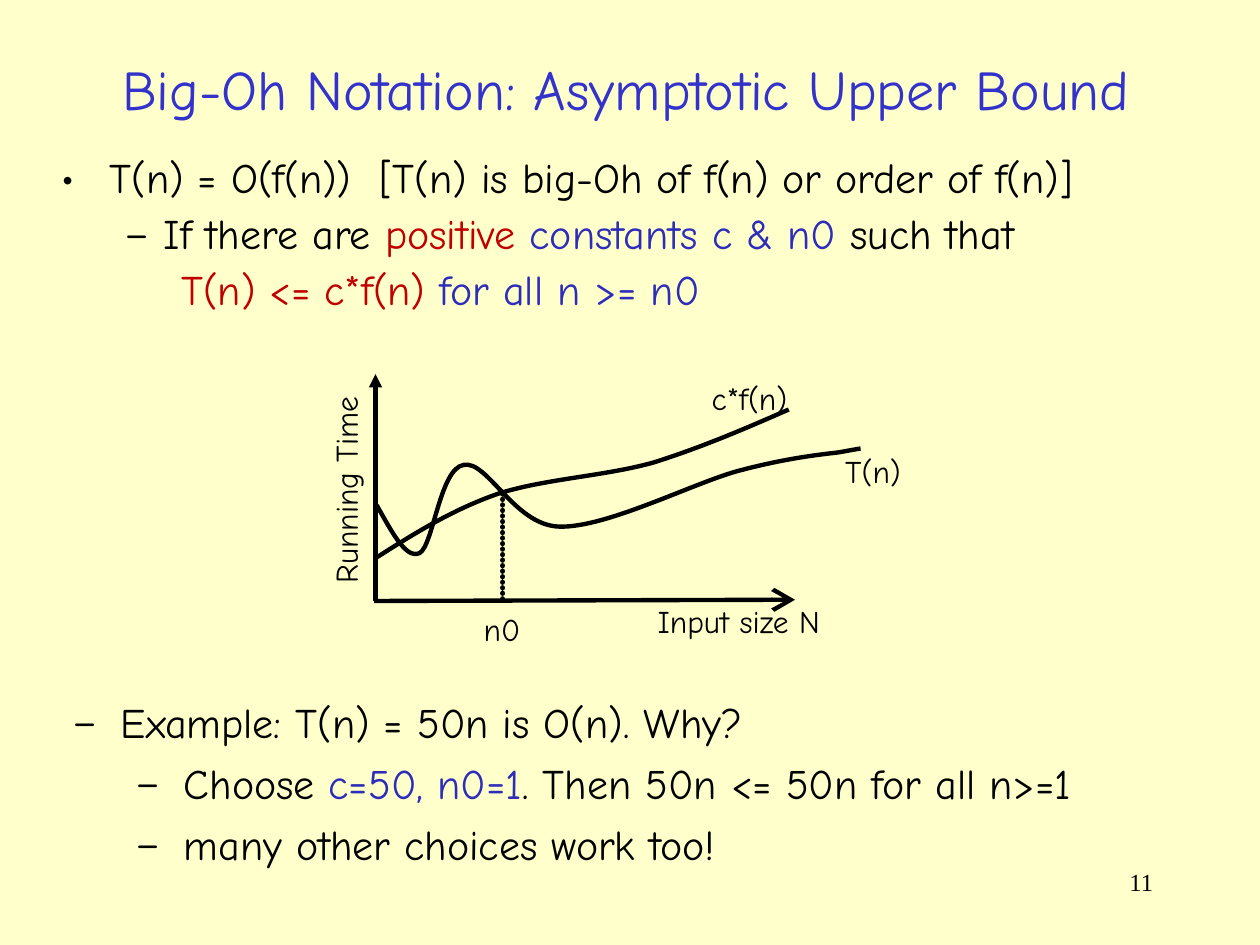
from typing import NamedTuple

from lxml import etree
from pptx import Presentation
from pptx.dml.color import RGBColor
from pptx.enum.shapes import MSO_CONNECTOR
from pptx.enum.text import MSO_ANCHOR, MSO_AUTO_SIZE, PP_ALIGN
from pptx.oxml.ns import qn
from pptx.util import Pt

PX = 9144  # EMU per px, 100 px to the inch
FONT, NUMBER_FONT = "Comic Neue", "Times New Roman"
BLACK, RED, BLUE, TITLE_BLUE = "000000", "C00000", "2D2DB9", "3333CC"
CREAM = "FFFFCC"
STRAIGHT = MSO_CONNECTOR.STRAIGHT
TOP, MIDDLE = MSO_ANCHOR.TOP, MSO_ANCHOR.MIDDLE
CENTER, RIGHT = PP_ALIGN.CENTER, PP_ALIGN.RIGHT
NO_FIT, FIT_SHAPE = MSO_AUTO_SIZE.NONE, MSO_AUTO_SIZE.SHAPE_TO_FIT_TEXT


class Box(NamedTuple):
    left: int
    top: int
    width: int
    height: int


class Item(NamedTuple):
    runs: list  # (text, colour) pairs
    margin: int
    hanging: int
    bullet: str = ""
    level: int = 0


class Label(NamedTuple):
    text: str
    box: Box
    rotation: int = 0


class Rule(NamedTuple):
    start: tuple
    end: tuple
    width: float = 2.5
    head: str = ""
    tail: str = ""
    head_size: str = "med"
    dotted: bool = False


def rgb(value: str) -> RGBColor:
    return RGBColor.from_string(value)


def place(shape, box: Box) -> None:
    shape.left, shape.top, shape.width, shape.height = (v * PX for v in box)


def style(run, size: int, color: str, font: str = FONT) -> None:
    run.font.size, run.font.name = Pt(size), font
    run.font.color.rgb = rgb(color)


def add_text(slide, text: str, box: Box, size: int, font: str = FONT):
    shape = slide.shapes.add_textbox(*(v * PX for v in box))
    shape.text_frame.text = text
    style(shape.text_frame.paragraphs[0].runs[0], size, BLACK, font)
    return shape


def fill_list(frame, items: list, line_spacing: float) -> None:
    frame.word_wrap = True
    frame.auto_size = NO_FIT
    frame.vertical_anchor = TOP
    for index, item in enumerate(items):
        paragraph = frame.add_paragraph() if index else frame.paragraphs[0]
        paragraph.level = item.level
        paragraph.line_spacing = line_spacing
        paragraph.space_before = Pt(6)
        for text, color in item.runs:
            run = paragraph.add_run()
            run.text = text
            style(run, 24, color)
        # Indents and bullet
        props = paragraph._p.get_or_add_pPr()
        props.set("marL", str(item.margin * PX))
        props.set("indent", str(-item.hanging * PX))
        if item.bullet:
            bullet_color = etree.SubElement(props, qn("a:buClr"))
            etree.SubElement(bullet_color, qn("a:srgbClr"), val=BLACK)
            etree.SubElement(props, qn("a:buFont"), typeface=FONT)
            etree.SubElement(props, qn("a:buChar"), char=item.bullet)
        else:
            etree.SubElement(props, qn("a:buNone"))


def draw_rule(slide, rule: Rule) -> None:
    ends = (v * PX for v in rule.start + rule.end)
    connector = slide.shapes.add_connector(STRAIGHT, *ends)
    connector.line.color.rgb = rgb(BLACK)
    connector.line.width = Pt(rule.width)
    outline = connector.line._get_or_add_ln()
    if rule.dotted:
        # Round dots that almost touch
        outline.set("cap", "rnd")
        dashes = etree.SubElement(outline, qn("a:custDash"))
        etree.SubElement(dashes, qn("a:ds"), d="100000", sp="5000")
    for tag, kind in (("a:headEnd", rule.head), ("a:tailEnd", rule.tail)):
        if kind:
            etree.SubElement(outline, qn(tag), type=kind,
                             w=rule.head_size, len=rule.head_size)
    etree.SubElement(connector._element.spPr, qn("a:effectLst"))


def draw_curve(slide, points: list) -> None:
    """Draw joined cubic segments; each takes three points after the first."""
    start, *others = [(x * PX, y * PX) for x, y in points]
    builder = slide.shapes.build_freeform(*start)
    builder.add_line_segments(others, close=False)
    curve = builder.convert_to_shape()
    # Gather every three line points into one cubic segment
    lines = list(curve._element.iter(qn("a:lnTo")))
    outline = lines[0].getparent()
    for i in range(0, len(lines), 3):
        segment = etree.SubElement(outline, qn("a:cubicBezTo"))
        for line in lines[i:i + 3]:
            segment.append(line[0])
            outline.remove(line)
    curve.fill.background()
    curve.line.color.rgb = rgb(BLACK)
    curve.line.width = Pt(2.5)
    curve.shadow.inherit = False


DEFINITION = [
    Item([("T(n) = O(f(n))  [T(n) is big-Oh of f(n) or order of f(n)]", BLACK)],
         38, 38, "•"),
    Item([("If there are ", BLACK), ("positive ", RED),
          ("constants c & n0", BLUE), (" such that", BLACK)], 81, 31, "–", 1),
    Item([("T(n) <= c*f(n) ", RED), ("for all n >= n0", BLUE)], 95, 0, level=1),
]
EXAMPLE = [
    Item([("Example: T(n) = 50n is O(n). Why?", BLACK)], 38, 38, "–"),
    Item([("Choose ", BLACK), ("c=50, n0=1", BLUE),
          (". Then 50n <= 50n for all n>=1", BLACK)], 88, 38, "–", 1),
    Item([("many other choices work too!", BLACK)], 88, 38, "–", 1),
]
RULES = [
    Rule((298, 297), (298, 477), head="triangle"),  # running time axis
    Rule((297, 477), (631, 476), tail="arrow", head_size="lg"),  # input axis
    Rule((399, 392), (399, 476), width=3, dotted=True),  # threshold n0
]
BOUND_CURVE = [
    (298, 443), (328, 424), (358, 405), (395, 392), (432, 380), (480, 378),
    (519, 367), (557, 355), (592, 340), (626, 325),
]
TIME_CURVE = [
    (299, 401), (311, 422), (322, 444), (333, 439), (344, 433), (349, 372),
    (368, 369), (387, 365), (408, 417), (444, 418), (481, 419), (549, 384),
    (585, 374), (622, 364), (649, 361), (666, 359), (682, 356), (683, 356),
    (683, 356),
]
LABELS = [
    Label("Input size N", Box(512, 473, 149, 40)),
    Label("c*f(n)", Box(555, 296, 80, 40)),
    Label("T(n)", Box(661, 354, 64, 40)),
    Label("n0", Box(374, 479, 49, 40)),
    Label("Running Time", Box(188, 367, 172, 40), 270),
]


def main() -> None:
    deck = Presentation()
    deck.slide_width, deck.slide_height = 1000 * PX, 750 * PX
    slide = deck.slides.add_slide(deck.slide_layouts[1])
    slide.background.fill.solid()
    slide.background.fill.fore_color.rgb = rgb(CREAM)

    # Title and definition
    title, definition = slide.placeholders
    place(title, Box(26, 28, 942, 84))
    title.text_frame.text = "Big-Oh Notation: Asymptotic Upper Bound"
    title.text_frame.auto_size = NO_FIT
    title.text_frame.vertical_anchor = MIDDLE
    heading = title.text_frame.paragraphs[0]
    heading.alignment = CENTER
    style(heading.runs[0], 32, TITLE_BLUE)
    place(definition, Box(39, 120, 899, 140))
    fill_list(definition.text_frame, DEFINITION, 0.9)

    # Worked example
    example = slide.shapes.add_textbox(*(v * PX for v in (48, 548, 912, 161)))
    fill_list(example.text_frame, EXAMPLE, 1.0)

    # Growth graph
    for rule in RULES:
        draw_rule(slide, rule)
    for curve in (BOUND_CURVE, TIME_CURVE):
        draw_curve(slide, curve)
    for label in LABELS:
        caption = add_text(slide, label.text, label.box, 18)
        caption.text_frame.word_wrap = False
        caption.text_frame.auto_size = FIT_SHAPE
        caption.rotation = label.rotation

    # Slide number
    number = add_text(slide, "11", Box(717, 683, 208, 50), 14, NUMBER_FONT)
    number.text_frame.word_wrap = True
    number.text_frame.paragraphs[0].alignment = RIGHT
    deck.save("out.pptx")


if __name__ == "__main__":
    main()
